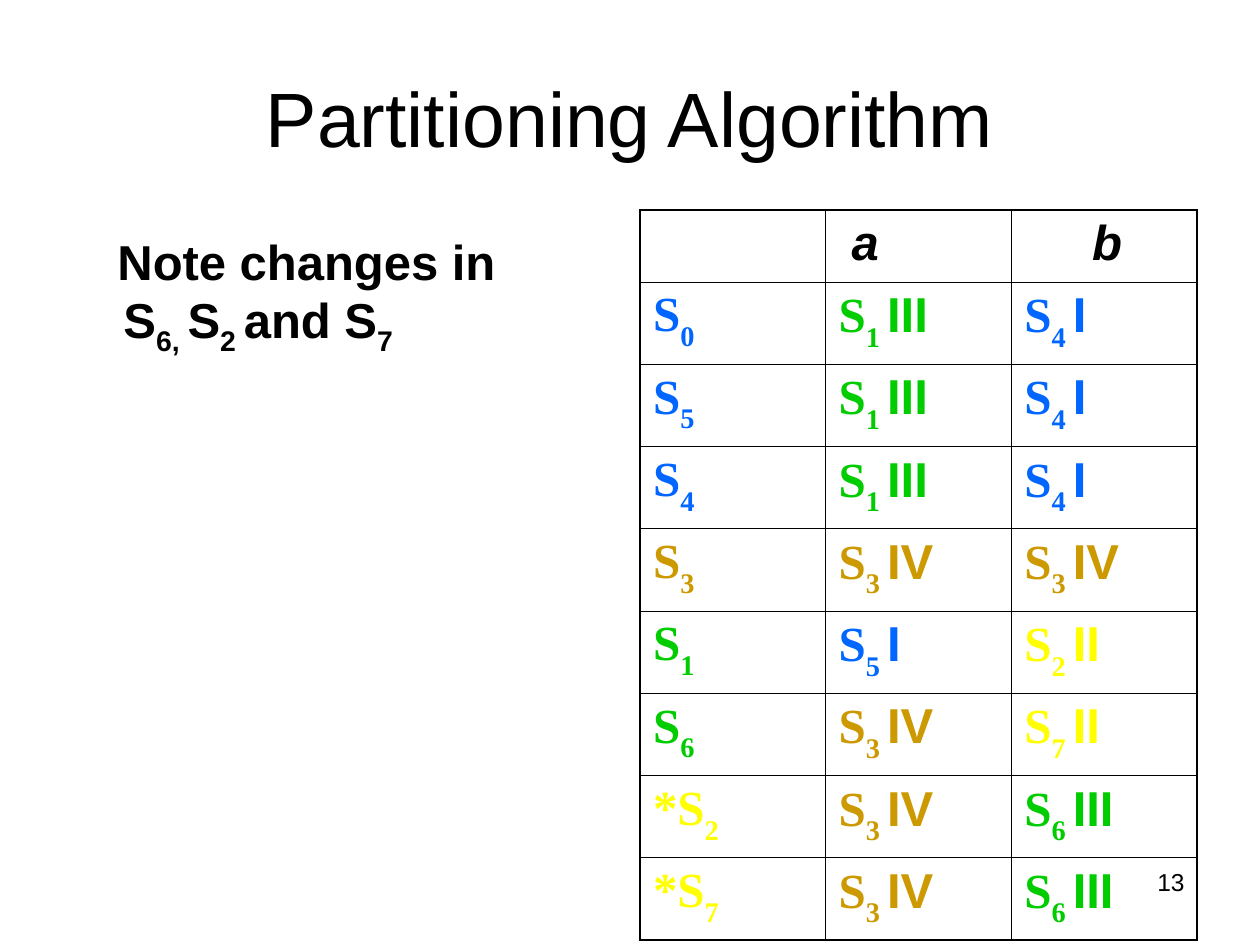
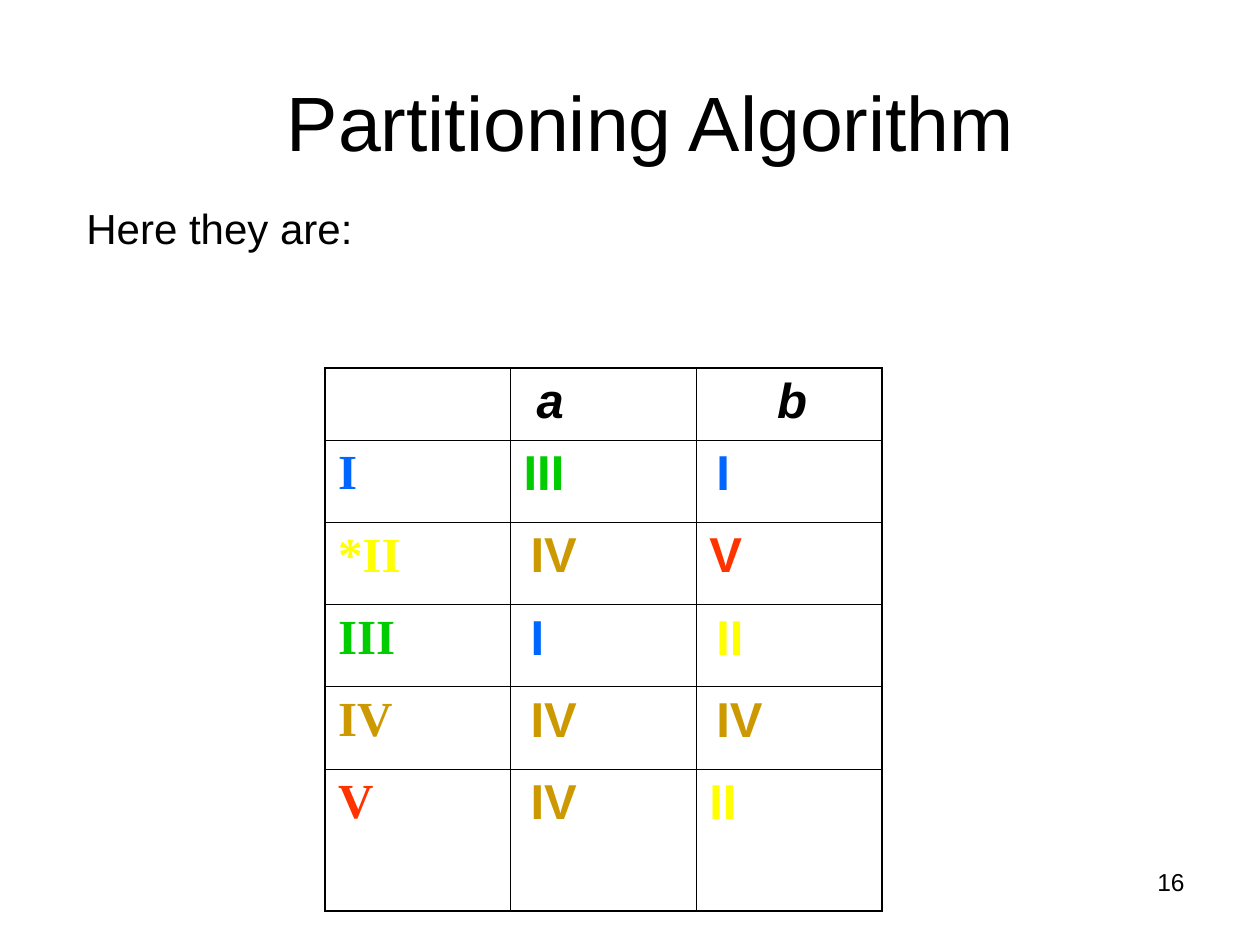
from pptx import Presentation
from pptx.dml.color import RGBColor
from pptx.enum.text import MSO_ANCHOR as Anchor, PP_ALIGN as Align
from pptx.oxml import parse_xml
from pptx.oxml.ns import nsdecls
from pptx.util import Pt

PX = 914400 / 126  # EMU in one px
BLACK = RGBColor(0x00, 0x00, 0x00)
CLASS_COLORS = {
    "I": RGBColor(0x00, 0x66, 0xFF),
    "II": RGBColor(0xFF, 0xFF, 0x00),
    "III": RGBColor(0x00, 0xCC, 0x00),
    "IV": RGBColor(0xCC, 0x99, 0x00),
    "V": RGBColor(0xFF, 0x33, 0x00),
}
SANS, SERIF = "Arial", "Times New Roman"
INSET = 13
THIN, THICK = 0.45, 1.08

# Automaton: class of each state, then its moves on a and b
STATE_CLASS = {0: "I", 5: "I", 4: "I", 3: "IV", 1: "III", 6: "III", 2: "II", 7: "II"}
MOVES = {0: (1, 4), 5: (1, 4), 4: (1, 4), 3: (3, 3),
         1: (5, 2), 6: (3, 7), 2: (3, 6), 7: (3, 6)}
ACCEPTING = {2, 7}

# Moves between classes, each with the indent of its entry
CLASS_MOVES = {
    "I": (("III", 0), ("I", 7)),
    "*II": (("IV", 7), ("V", 0)),
    "III": (("I", 7), ("II", 7)),
    "IV": (("IV", 7), ("IV", 7)),
    "V": (("IV", 7), ("II", 0)),
}


def emu(px):
    return round(px * PX)


def box(*lengths):
    return [emu(n) for n in lengths]


def set_font(font, size, color=BLACK, name=SANS, bold=False, italic=False):
    font.name, font.size = name, Pt(size)
    font.bold, font.italic = bold, italic
    font.color.rgb = color


def add_run(p, text, name=None, base=0):
    r = p.add_run()
    r.text = text
    if name:
        r.font.name = name
    if base:
        r._r.get_or_add_rPr().set("baseline", str(base * 1000))


def add_text(slide, x, y, w, h):
    tf = slide.shapes.add_textbox(*box(x, y, w, h)).text_frame
    tf.word_wrap = True
    return tf


def add_slide(prs, x, y, number):
    """Slide with the shared title, placed at x, y, and its number."""
    slide = prs.slides.add_slide(prs.slide_layouts[5])
    title = slide.shapes.title
    title.left, title.top, title.width, title.height = box(x, y, 1134, 158)
    tf = title.text_frame
    tf.text = "Partitioning Algorithm"
    tf.vertical_anchor = Anchor.MIDDLE
    p = tf.paragraphs[0]
    p.alignment = Align.CENTER
    set_font(p.font, 44)

    p = add_text(slide, 903, 861, 294, 66).paragraphs[0]
    p.text = str(number)
    p.alignment = Align.RIGHT
    set_font(p.font, 14)
    return slide


def set_borders(cell, widths):
    tc_pr = cell._tc.get_or_add_tcPr()
    for i, (side, width) in enumerate(zip("LRTB", widths)):
        tc_pr.insert(i, parse_xml(
            f'<a:ln{side} {nsdecls("a")} w="{Pt(width)}"><a:solidFill>'
            f'<a:srgbClr val="{BLACK}"/></a:solidFill></a:ln{side}>'))


def add_grid(slide, x, y, row_heights):
    """Three-column transition table with the headings a and b."""
    rows, cols, width = len(row_heights), 3, 557
    table = slide.shapes.add_table(
        rows, cols, *box(x, y, width, sum(row_heights))).table
    table.first_row = table.horz_banding = False
    for column in table.columns:
        column.width = emu(width / cols)
    for i, height in enumerate(row_heights):
        table.rows[i].height = emu(height)
        for j in range(cols):
            cell = table.cell(i, j)
            cell.fill.background()
            edges = (j == 0, j == cols - 1, i == 0, i == rows - 1)
            set_borders(cell, [THICK if edge else THIN for edge in edges])
    for j, (symbol, indent) in enumerate((("a", 13), ("b", 68)), 1):
        p = cell_paragraph(table.cell(0, j), BLACK, SANS, indent, italic=True)
        add_run(p, symbol)
    return table


def cell_paragraph(cell, color, name, indent=0, italic=False):
    cell.margin_left = emu(INSET + indent)
    p = cell.text_frame.paragraphs[0]
    set_font(p.font, 28, color, name, bold=True, italic=italic)
    return p


def fill_states(table):
    for i, (state, targets) in enumerate(MOVES.items(), 1):
        p = cell_paragraph(table.cell(i, 0), CLASS_COLORS[STATE_CLASS[state]], SERIF)
        add_run(p, "*S" if state in ACCEPTING else "S")
        add_run(p, str(state), base=-30)
        for j, target in enumerate(targets, 1):
            group = STATE_CLASS[target]
            p = cell_paragraph(table.cell(i, j), CLASS_COLORS[group], SERIF)
            add_run(p, "S")
            add_run(p, f"{target} ", base=-30)
            add_run(p, group, SANS)


def fill_classes(table):
    for i, (label, targets) in enumerate(CLASS_MOVES.items(), 1):
        color = CLASS_COLORS[label.lstrip("*")]
        add_run(cell_paragraph(table.cell(i, 0), color, SERIF), label)
        for j, (group, indent) in enumerate(targets, 1):
            p = cell_paragraph(table.cell(i, j), CLASS_COLORS[group], SANS, indent)
            add_run(p, group)


def add_note(slide):
    tf = add_text(slide, 63, 220, 483, 624)
    tf.margin_top = emu(11)
    p = tf.paragraphs[0]
    p_pr = p._p.get_or_add_pPr()
    p_pr.set("marL", str(emu(48)))
    p_pr.set("indent", str(emu(-6)))
    set_font(p.font, 28, bold=True)
    for text, base in (("Note changes in S", 0), ("6, ", -25), ("S", 0),
                       ("2 ", -25), ("and S", 0), ("7", -25)):
        add_run(p, text, base=base)


def main():
    prs = Presentation()
    prs.slide_width, prs.slide_height = box(1260, 945)

    # States with their classes
    slide = add_slide(prs, 63, 38, 13)
    add_note(slide)
    fill_states(add_grid(slide, 640, 210, [72] + [82.25] * 8))

    # Resulting classes
    slide = add_slide(prs, 84, 42, 16)
    fill_classes(add_grid(slide, 325, 368, [72] + [82.25] * 4 + [142]))
    p = add_text(slide, 74, 196, 291, 61).paragraphs[0]
    p.text = "Here they are:"
    set_font(p.font, 24)

    prs.save("out.pptx")


if __name__ == "__main__":
    main()
